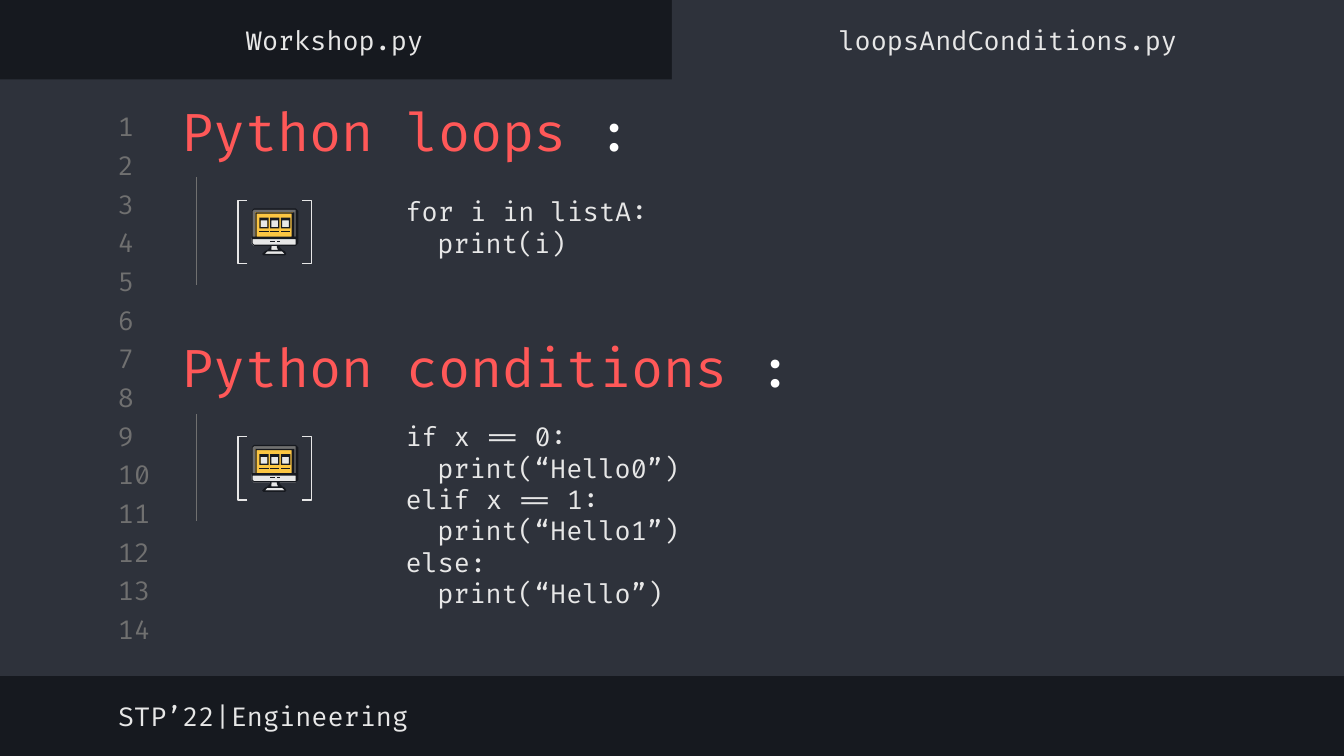
from lxml.etree import SubElement
from pptx import Presentation
from pptx.dml.color import RGBColor
from pptx.enum.shapes import MSO_CONNECTOR as Connector, MSO_SHAPE as Shape
from pptx.enum.text import MSO_ANCHOR as Anchor, PP_ALIGN as Align
from pptx.oxml.ns import qn
from pptx.util import Inches, Pt

DARK, PANEL, GRAY = "16191F", "2E323B", "707070"
LIGHT, RED, WHITE, YELLOW = "E7E7E7", "FF5858", "FFFFFF", "FCC642"
FONT = "Fira Code"
INDENT = Pt(17)
SECTION_GAP = 1.76
UNIT = 0.01

SCREEN = [(189, 156), (187, 157), (187, 177), (221, 177), (221, 157), (220, 156)]
STAND = [(187, 177), (187, 181), (189, 183), (202, 183), (202, 184), (201, 186),
         (199, 187), (197, 188), (196, 189), (212, 189), (211, 188), (210, 187),
         (208, 186), (207, 184), (207, 183), (220, 183), (221, 181), (221, 177)]
OUTLINE = [
    [(217, 159), (217, 176), (191, 176), (191, 159)],
    [(220, 156), (220, 176), (219, 176), (219, 158), (190, 158), (190, 176),
     (188, 176), (188, 157), (189, 156)],
    [(220, 178), (220, 182), (189, 182), (188, 181), (188, 178)],
    [(206, 183), (206, 184), (207, 186), (202, 186), (202, 183)],
    [(210, 187), (212, 189), (197, 189), (199, 187)],
    [(189, 155), (187, 157), (187, 181), (189, 183), (201, 183), (201, 184),
     (199, 186), (197, 187), (195, 189), (196, 190), (212, 190), (213, 189),
     (212, 187), (210, 186), (208, 184), (208, 183), (220, 183), (222, 181),
     (222, 157), (220, 155)],
]


def rgb(color):
    return RGBColor.from_string(color)


def bounds(left, top, width, height):
    return [Inches(v) for v in (left, top, width, height)]


def corners(left, top, width, height):
    right, bottom = left + width, top + height
    return [(left, top), (left, bottom), (right, bottom), (right, top)]


def paint(shape, color):
    shape.shadow.inherit = False
    shape.fill.solid()
    shape.fill.fore_color.rgb = rgb(color)
    shape.line.fill.background()


def add_panel(slide, box):
    paint(slide.shapes.add_shape(Shape.RECTANGLE, *bounds(*box)), PANEL)


def add_text(slide, box, lines, size=14, color=LIGHT, align=Align.LEFT,
             anchor=Anchor.MIDDLE, top_inset=0.1, tail="", indented=()):
    frame = slide.shapes.add_textbox(*bounds(*box)).text_frame
    frame.word_wrap = True
    frame.vertical_anchor = anchor
    frame.margin_left = frame.margin_right = frame.margin_bottom = Inches(0.1)
    frame.margin_top = Inches(top_inset)
    for index, line in enumerate(lines):
        paragraph = frame.paragraphs[0] if index == 0 else frame.add_paragraph()
        paragraph.alignment = align
        if index in indented:
            properties = paragraph._p.get_or_add_pPr()
            properties.set("marL", str(INDENT))
            properties.set("indent", "0")
        for words, tint in ((line, color), (tail, WHITE)):
            if words:
                run = paragraph.add_run()
                run.text = words
                run.font.name = FONT
                run.font.size = Pt(size)
                run.font.color.rgb = rgb(tint)


def add_outline(group, contours, color, drop):
    shift = drop / UNIT
    builder = None
    for contour in contours:
        (x, y), *rest = [(x, y + shift) for x, y in contour]
        if builder is None:
            builder = group.shapes.build_freeform(x, y, scale=Inches(UNIT))
        else:
            builder.move_to(x, y)
        builder.add_line_segments(rest, close=True)
    paint(builder.convert_to_shape(), color)


def add_monitor(slide, drop):
    group = slide.shapes.add_group_shape()
    lefts = (193, 201, 209)
    panes = [corners(left + 1, 164, 5, 5) for left in lefts]
    add_outline(group, [SCREEN], GRAY, drop)
    add_outline(group, [corners(190, 158, 28, 19)], YELLOW, drop)
    add_outline(group, [STAND], LIGHT, drop)
    for pane in panes:
        add_outline(group, [pane], LIGHT, drop)
    add_outline(group, OUTLINE, DARK, drop)
    for left, pane in zip(lefts, panes):
        add_outline(group, [pane, corners(left, 162, 7, 8)], DARK, drop)
        add_outline(group, [corners(left, 172, 7, 1)], DARK, drop)
    for left, width in ((201, 4), (206, 2)):
        add_outline(group, [corners(left, 179, width, 1)], DARK, drop)


def add_brackets(slide, drop):
    group = slide.shapes.add_group_shape()
    for left, flipped in ((2.25, True), (1.77, False)):
        bracket = group.shapes.add_shape(
            Shape.LEFT_BRACKET, *bounds(left, 1.49 + drop, 0.07, 0.47))
        bracket.adjustments[0] = 0
        bracket.shadow.inherit = False
        bracket.fill.background()
        bracket.line.color.rgb = rgb(LIGHT)
        bracket.line.width = Pt(0.75)
        if flipped:
            bracket.element.spPr.find(qn("a:xfrm")).set("flipH", "1")


def add_rule(slide, drop):
    rule = slide.shapes.add_connector(
        Connector.STRAIGHT, Inches(1.46), Inches(1.32 + drop),
        Inches(1.46), Inches(2.12 + drop))
    rule.line.color.rgb = rgb(GRAY)
    rule.line.width = Pt(0.75)
    SubElement(rule.element.spPr, qn("a:effectLst"))


def add_section(slide, heading, width, drop):
    add_text(slide, (1.25, 0.68 + drop, width, 0.58), [heading],
             size=28, color=RED, tail=":")
    add_monitor(slide, drop)
    add_brackets(slide, drop)
    add_rule(slide, drop)


def main():
    deck = Presentation()
    deck.slide_width, deck.slide_height = Inches(10), Inches(45 / 8)
    slide = deck.slides.add_slide(deck.slide_layouts[6])
    slide.background.fill.solid()
    slide.background.fill.fore_color.rgb = rgb(DARK)

    add_panel(slide, (0, 0.59, 10, 4.44))
    add_panel(slide, (5, 0, 5, 0.65))
    first, last, count = 0.82, 4.56, 14
    for number in range(count):
        top = first + number * (last - first) / (count - 1)
        add_text(slide, (0.78, top, 0.47, 0.24), [str(number + 1)], color=GRAY)

    add_section(slide, "Python loops ", 3.7, 0)
    add_text(slide, (2.92, 1.26, 2.07, 0.86), ["for i in listA:", "print(i)"],
             indented=(1,))
    add_section(slide, "Python conditions ", 5, SECTION_GAP)
    add_text(slide, (2.92, 3.13, 2.5, 1.63),
             ["if x == 0:", "print(“Hello0”)", "elif x == 1:",
              "print(“Hello1”)", "else:", "print(“Hello”)"],
             anchor=Anchor.TOP, top_inset=0, indented=(1, 3, 5))

    add_text(slide, (0.78, 5.13, 5.32, 0.39), ["STP’22|Engineering"])
    for left, tab in ((-0.01, "Workshop.py"), (5, "loopsAndConditions.py")):
        add_text(slide, (left, 0.1, 5, 0.39), [tab], align=Align.CENTER)
    deck.save("out.pptx")


main()
